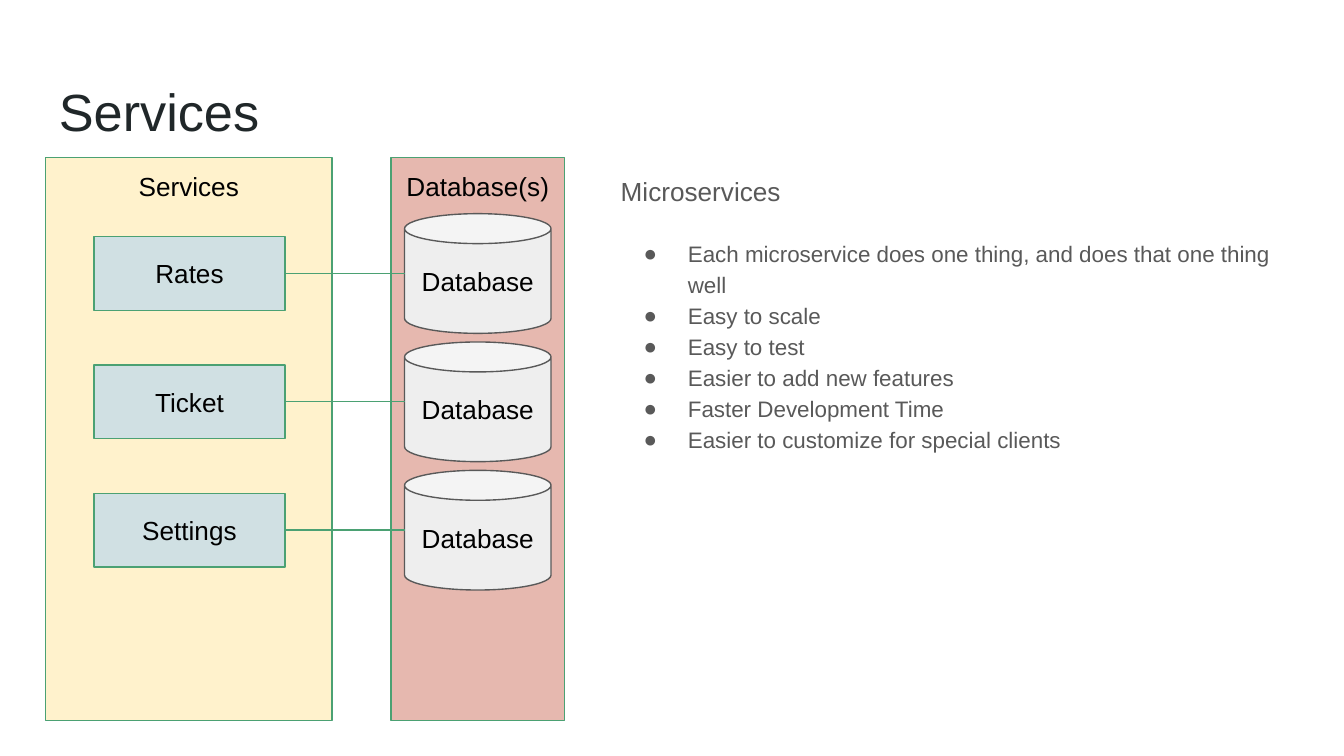
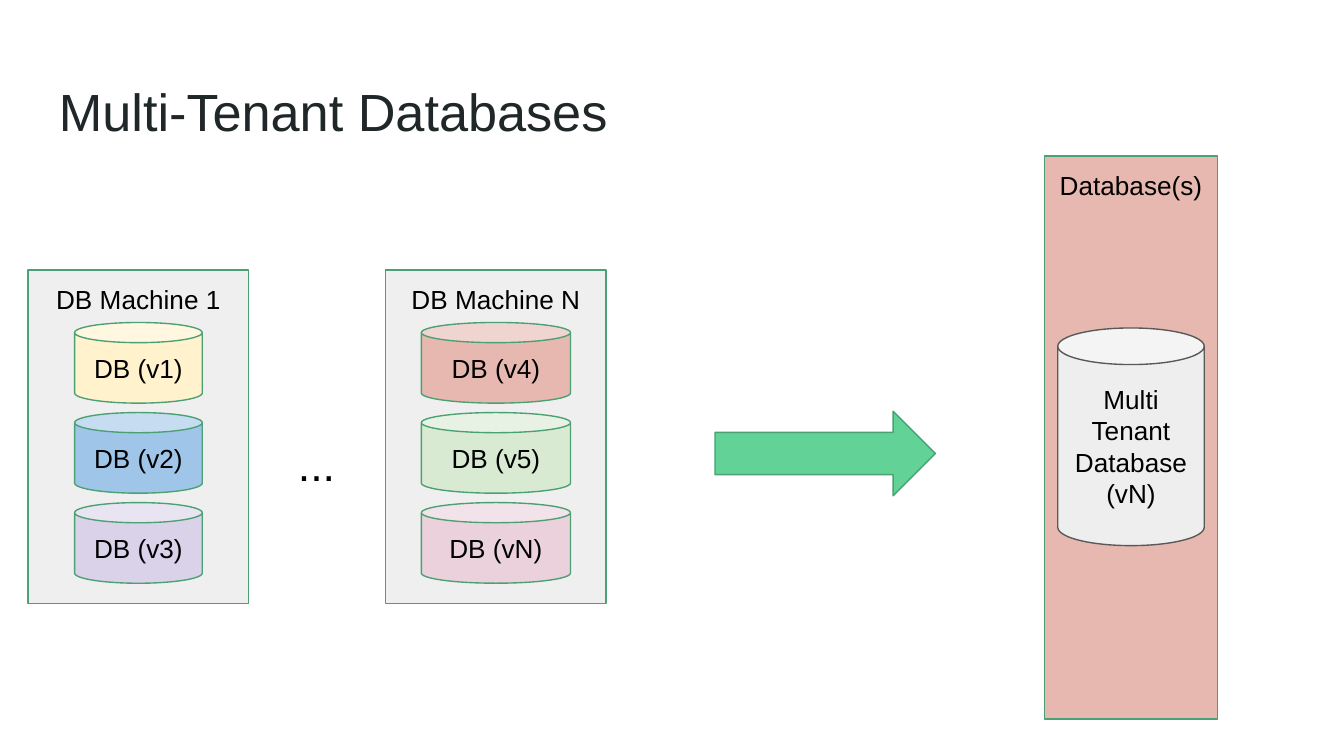
from dataclasses import dataclass
from typing import Any, Optional

import lxml.etree
import pptx
import pptx.dml.color
import pptx.enum.shapes
import pptx.enum.text
import pptx.oxml.ns
import pptx.util

Inches = pptx.util.Inches
Pt = pptx.util.Pt
Shape = pptx.enum.shapes.MSO_SHAPE
Anchor = pptx.enum.text.MSO_ANCHOR
Align = pptx.enum.text.PP_ALIGN
qn = pptx.oxml.ns.qn


@dataclass(frozen=True)
class Theme:
    font: str = "Arial"
    title_size: float = 28
    ellipsis_size: float = 24
    label_size: float = 14
    bullet_size: float = 12
    line_width: float = 0.75
    title: str = "202729"
    label: str = "000000"
    body: str = "595959"
    outline: str = "4BA173"
    arrow: str = "63D297"
    service: str = "D0E0E3"
    database: str = "EEEEEE"
    machine: str = "EFEFEF"
    yellow: str = "FFF2CC"
    red: str = "E6B8AF"
    blue: str = "9FC5E8"
    violet: str = "D9D2E9"
    green: str = "D9EAD3"
    pink: str = "EAD1DC"


THEME = Theme()


@dataclass(frozen=True)
class Box:
    left: float
    top: float
    width: float
    height: float

    def inches(self) -> list[int]:
        return [Inches(v) for v in (self.left, self.top, self.width, self.height)]

    @property
    def right(self) -> float:
        return self.left + self.width

    @property
    def middle(self) -> float:
        return self.top + self.height / 2


@dataclass(frozen=True)
class Block:
    """A filled, outlined part of a diagram with an optional label."""
    box: Box
    fill: str
    text: str = ""
    kind: Any = Shape.RECTANGLE
    anchor: Any = Anchor.MIDDLE
    outline: str = THEME.outline


@dataclass(frozen=True)
class Machine:
    name: str
    left: float
    database_width: float
    databases: tuple[tuple[str, str], ...]


def apply(target: Any, values: dict[str, Any]) -> None:
    for name, value in values.items():
        setattr(target, name, value)


def rgb(color: str) -> pptx.dml.color.RGBColor:
    return pptx.dml.color.RGBColor.from_string(color)


# Text
def set_frame(frame: Any, anchor: Any = Anchor.TOP) -> None:
    margins = {f"margin_{side}": Inches(0.1) for side in ("left", "right", "top", "bottom")}
    apply(frame, {"word_wrap": True, "vertical_anchor": anchor, **margins})


def write(paragraph: Any, text: str, size: float, color: str,
          values: Optional[dict[str, Any]] = None) -> None:
    apply(paragraph, values or {})
    run = paragraph.add_run()
    run.text = text
    apply(run.font, {"name": THEME.font, "size": Pt(size)})
    run.font.color.rgb = rgb(color)


def write_lines(frame: Any, text: str, size: float, color: str, align: Any) -> None:
    for i, line in enumerate(text.split("\n")):
        paragraph = frame.add_paragraph() if i else frame.paragraphs[0]
        write(paragraph, line, size, color, {"alignment": align})


def add_bullet(paragraph: Any) -> None:
    properties = paragraph._p.get_or_add_pPr()
    properties.set("marL", str(Inches(0.5)))
    properties.set("indent", str(Inches(-0.33)))
    color = lxml.etree.SubElement(properties, qn("a:buClr"))
    lxml.etree.SubElement(color, qn("a:srgbClr")).set("val", THEME.body)
    size = str(int(THEME.bullet_size * 100))
    for tag, name, value in (("a:buSzPts", "val", size),
                             ("a:buFont", "typeface", THEME.font),
                             ("a:buChar", "char", "●")):
        lxml.etree.SubElement(properties, qn(tag)).set(name, value)


def draw_text(slide: Any, box: Box, text: str, size: float, color: str,
              align: Any = Align.LEFT) -> None:
    frame = slide.shapes.add_textbox(*box.inches()).text_frame
    set_frame(frame)
    write_lines(frame, text, size, color, align)


def draw_benefits(slide: Any, box: Box, heading: str, benefits: list[str]) -> None:
    frame = slide.shapes.add_textbox(*box.inches()).text_frame
    set_frame(frame)
    spacing = {"line_spacing": 1.15}
    write(frame.paragraphs[0], heading, THEME.label_size, THEME.body, spacing)
    for i, benefit in enumerate(benefits):
        paragraph = frame.add_paragraph()
        write(paragraph, benefit, THEME.bullet_size, THEME.body,
              {**spacing, "space_before": Pt(0 if i else 16)})
        add_bullet(paragraph)


# Diagram parts
def draw_block(slide: Any, block: Block) -> None:
    shape = slide.shapes.add_shape(block.kind, *block.box.inches())
    shape.shadow.inherit = False
    shape.fill.solid()
    shape.fill.fore_color.rgb = rgb(block.fill)
    shape.line.color.rgb = rgb(block.outline)
    shape.line.width = Pt(THEME.line_width)
    if block.text:
        set_frame(shape.text_frame, block.anchor)
        write_lines(shape.text_frame, block.text, THEME.label_size, THEME.label, Align.CENTER)


def draw_panel(slide: Any, box: Box, fill: str, heading: str) -> None:
    draw_block(slide, Block(box, fill, heading, anchor=Anchor.TOP))


def draw_database(slide: Any, box: Box, text: str, fill: str = THEME.database,
                  outline: str = THEME.body) -> None:
    draw_block(slide, Block(box, fill, text, Shape.CAN, outline=outline))


def draw_link(slide: Any, start: Box, end: Box) -> None:
    link = slide.shapes.add_connector(
        pptx.enum.shapes.MSO_CONNECTOR.STRAIGHT, Inches(start.right), Inches(start.middle),
        Inches(end.left), Inches(start.middle))
    link.line.color.rgb = rgb(THEME.outline)
    link.line.width = Pt(THEME.line_width)
    lxml.etree.SubElement(link._element.spPr, qn("a:effectLst"))


def add_slide(deck: Any, title: str) -> Any:
    slide = deck.slides.add_slide(deck.slide_layouts[6])
    draw_text(slide, Box(0.34, 0.49, 9.32, 0.63), title, THEME.title_size, THEME.title)
    return slide


# Slides
def build_services(deck: Any) -> None:
    slide = add_slide(deck, "Services")
    draw_benefits(slide, Box(4.52, 1.17, 5.27, 4.36), "Microservices", [
        "Each microservice does one thing, and does that one thing well",
        "Easy to scale",
        "Easy to test",
        "Easier to add new features",
        "Faster Development Time",
        "Easier to customize for special clients",
    ])
    draw_panel(slide, Box(0.34, 1.17, 2.13, 4.19), THEME.yellow, "Services")
    draw_panel(slide, Box(2.91, 1.17, 1.29, 4.19), THEME.red, "Database(s)")

    names = ["Rates", "Ticket", "Settings"]
    first_top, last_top = 1.59, 3.5
    pitch = (last_top - first_top) / (len(names) - 1)
    for row, name in enumerate(names):
        database = Box(3.01, first_top + row * pitch, 1.09, 0.89)
        service = Box(0.7, database.top + 0.17, 1.42, 0.55)
        draw_block(slide, Block(service, THEME.service, name))
        draw_database(slide, database, "Database")
        draw_link(slide, service, database)


def build_multi_tenant(deck: Any) -> None:
    slide = add_slide(deck, "Multi-Tenant Databases")
    draw_panel(slide, Box(7.77, 1.16, 1.29, 4.19), THEME.red, "Database(s)")

    machines = [
        Machine("DB Machine 1", 0.21, 0.95, (
            ("DB (v1)", THEME.yellow), ("DB (v2)", THEME.blue), ("DB (v3)", THEME.violet))),
        Machine("DB Machine N", 2.87, 1.11, (
            ("DB (v4)", THEME.red), ("DB (v5)", THEME.green), ("DB (vN)", THEME.pink))),
    ]
    for machine in machines:
        panel = Box(machine.left, 2.01, 1.64, 2.48)
        draw_panel(slide, panel, THEME.machine, machine.name)
        left = panel.left + (panel.width - machine.database_width) / 2
        for row, (version, fill) in enumerate(machine.databases):
            box = Box(left, 2.4 + row * 0.67, machine.database_width, 0.6)
            draw_database(slide, box, version, fill, THEME.outline)

    draw_text(slide, Box(2.08, 3.15, 0.55, 0.64), "...", THEME.ellipsis_size,
              THEME.label, Align.CENTER)
    draw_block(slide, Block(Box(5.32, 3.06, 1.64, 0.63), THEME.arrow, kind=Shape.RIGHT_ARROW))
    draw_database(slide, Box(7.87, 2.44, 1.09, 1.62), "Multi Tenant Database\n(vN)")


def main() -> None:
    deck = pptx.Presentation()
    width = Inches(10)
    apply(deck, {"slide_width": width, "slide_height": width * 9 // 16})
    build_services(deck)
    build_multi_tenant(deck)
    deck.save("out.pptx")


if __name__ == "__main__":
    main()
